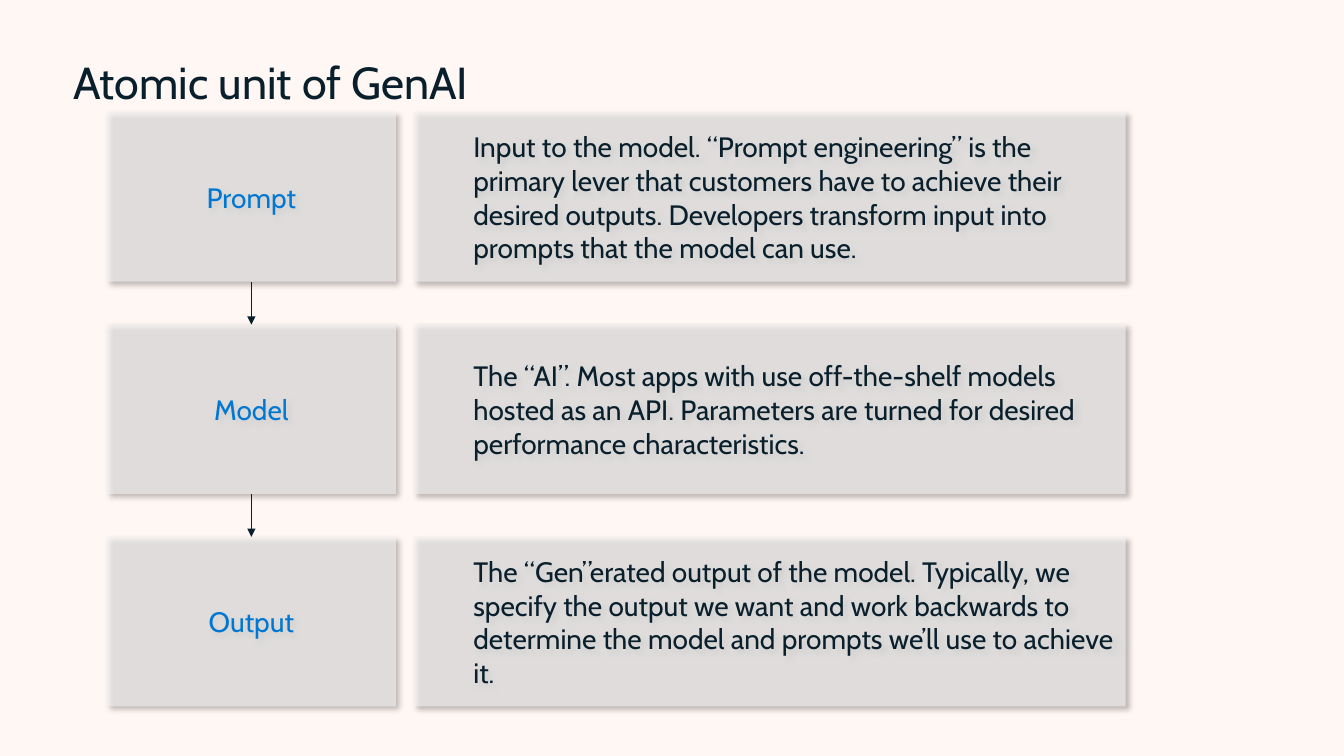
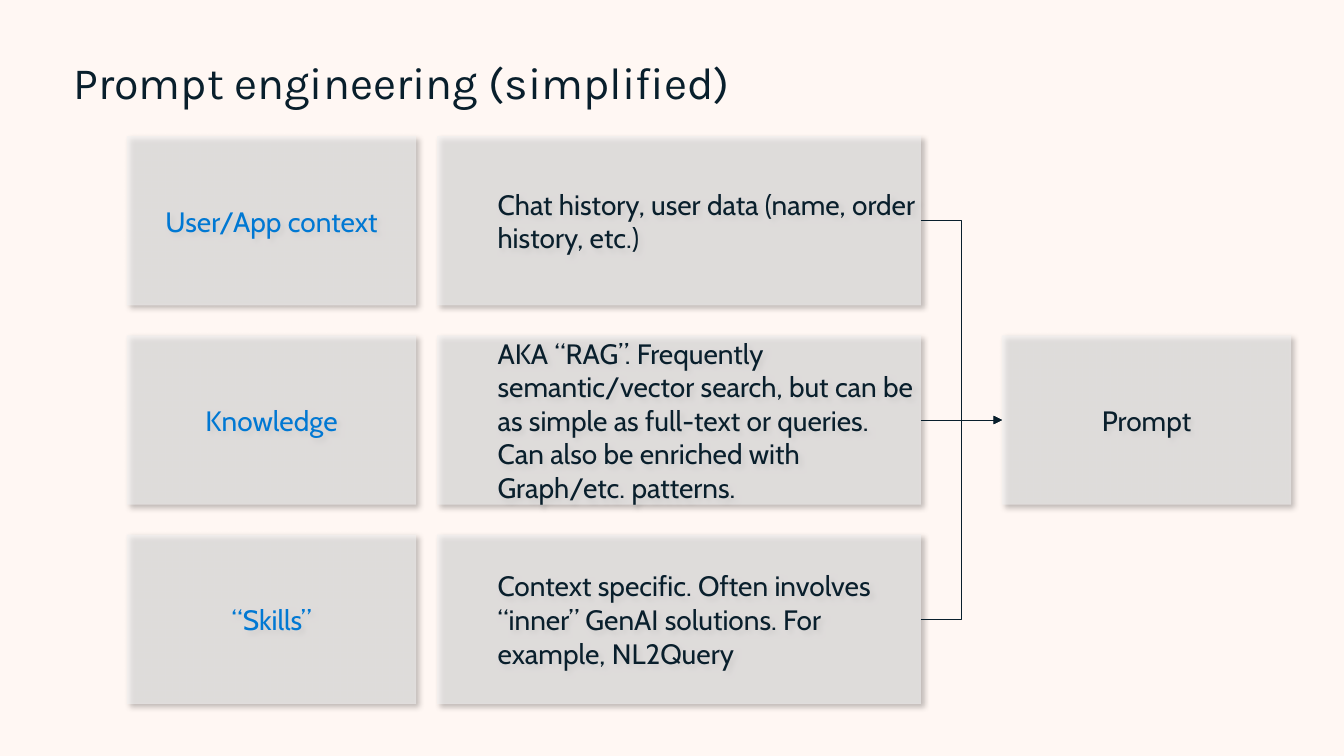
from dataclasses import dataclass

from pptx import Presentation
from pptx import util as u
from pptx.dml import color
from pptx.enum import shapes, text
from pptx.oxml import parse_xml
from pptx.oxml.ns import nsdecls, qn

Cm = u.Cm


@dataclass(frozen=True)
class Theme:
    background: str = "FFF7F3"
    ink: str = "091F2C"
    accent: str = "0078D3"
    card: str = "F2F2F2"
    font: str = "Cabin"
    title_size: int = 32
    card_size: int = 20
    line_width: float = 0.5


@dataclass(frozen=True)
class Row:
    label: str
    description: str


@dataclass(frozen=True)
class Grid:
    """Rows of a label card and a description card; lengths in cm."""
    top: float
    pitch: float
    label_left: float
    description_left: float
    description_width: float
    opacity: int


THEME = Theme()
CARD_HEIGHT = 4.27
LABEL_WIDTH = 7.29
LABEL_INSETS = (0.51, 0.41, 0.51, 0.41)
DESCRIPTION_INSETS = (1.52, 0, 0, 0)

UNIT_GRID = Grid(2.83, 5.35, 2.69, 10.41, 17.96, 63)
UNIT_ROWS = [
    Row("Prompt", "Input to the model. “Prompt engineering” is the primary lever that "
        "customers have to achieve their desired outputs. Developers transform input "
        "into prompts that the model can use."),
    Row("Model", "The “AI”. Most apps with use off-the-shelf models hosted as an API. "
        "Parameters are turned for desired performance characteristics."),
    Row("Output", "The “Gen”erated output of the model. Typically, we specify the output "
        "we want and work backwards to determine the model and prompts we’ll use to "
        "achieve it."),
]

PROMPT_GRID = Grid(3.43, 5.02, 3.2, 11.02, 12.19, 60)
PROMPT_LEFT = 25.25
PROMPT_ROWS = [
    Row("User/App context", "Chat history, user data (name, order history, etc.)"),
    Row("Knowledge", "AKA “RAG”. Frequently semantic/vector search, but can be as simple "
        "as full-text or queries. Can also be enriched with Graph/etc. patterns."),
    Row("“Skills”", "Context specific. Often involves “inner” GenAI solutions. "
        "For example, NL2Query"),
]


def rgb(value: str) -> color.RGBColor:
    return color.RGBColor.from_string(value)


def set_font(paragraph, size: float, ink: str, name: str = THEME.font) -> None:
    paragraph.font.name = name
    paragraph.font.size = u.Pt(size)
    paragraph.font.color.rgb = rgb(ink)


def prepare_master(presentation):
    """Set the shared background and title position; return the layout."""
    fill = presentation.slide_master.background.fill
    fill.solid()
    fill.fore_color.rgb = rgb(THEME.background)
    layout = presentation.slide_layouts.get_by_name("Title Only")
    title = layout.placeholders[0]
    title.left, title.top = Cm(1.6), Cm(1.4)
    title.width, title.height = Cm(30.5), Cm(2)
    return layout


def add_titled_slide(presentation, layout, title: str, font: str = THEME.font):
    slide = presentation.slides.add_slide(layout)
    frame = slide.shapes.title.text_frame
    frame.text = title
    frame.vertical_anchor = text.MSO_ANCHOR.TOP
    frame.auto_size = text.MSO_AUTO_SIZE.NONE
    paragraph = frame.paragraphs[0]
    paragraph.alignment = text.PP_ALIGN.LEFT
    paragraph.line_spacing = 0.9
    set_font(paragraph, THEME.title_size, THEME.ink, font)
    return slide


def add_card(slide, left: float, top: float, width: float, words: str, opacity: int,
             insets: tuple, alignment, ink: str):
    """Add a translucent card with a soft shadow."""
    card = slide.shapes.add_shape(shapes.MSO_SHAPE.RECTANGLE, Cm(left), Cm(top),
                                  Cm(width), Cm(CARD_HEIGHT))
    card.fill.solid()
    card.fill.fore_color.rgb = rgb(THEME.card)
    card.line.fill.background()
    card.shadow.inherit = False
    properties = card._element.spPr
    properties.find(".//" + qn("a:srgbClr")).append(
        parse_xml(f'<a:alpha {nsdecls("a")} val="{opacity * 1000}"/>'))
    properties.find(qn("a:effectLst")).append(parse_xml(
        f'<a:outerShdw {nsdecls("a")} blurRad="{u.Pt(4)}" dist="{u.Pt(3)}" '
        'dir="2700000" algn="tl" rotWithShape="0">'
        '<a:srgbClr val="000000"><a:alpha val="40000"/></a:srgbClr></a:outerShdw>'))

    frame = card.text_frame
    frame.word_wrap = True
    frame.vertical_anchor = text.MSO_ANCHOR.MIDDLE
    (frame.margin_left, frame.margin_top,
     frame.margin_right, frame.margin_bottom) = map(Cm, insets)
    frame.text = words
    paragraph = frame.paragraphs[0]
    paragraph.alignment = alignment
    set_font(paragraph, THEME.card_size, ink)
    return card


def add_label(slide, left: float, top: float, words: str, opacity: int,
              ink: str = THEME.accent):
    return add_card(slide, left, top, LABEL_WIDTH, words, opacity, LABEL_INSETS,
                    text.PP_ALIGN.CENTER, ink)


def add_rows(slide, grid: Grid, rows: list) -> tuple:
    """Draw the grid; return its label cards and description cards."""
    labels, descriptions = [], []
    for index, row in enumerate(rows):
        top = grid.top + index * grid.pitch
        descriptions.append(add_card(
            slide, grid.description_left, top, grid.description_width, row.description,
            grid.opacity, DESCRIPTION_INSETS, text.PP_ALIGN.LEFT, THEME.ink))
        labels.append(add_label(slide, grid.label_left, top, row.label, grid.opacity))
    return labels, descriptions


def add_arrow(slide, kind, start, start_site: int, end, end_site: int) -> None:
    """Join two cards; sites run top, left, bottom, right from 0."""
    arrow = slide.shapes.add_connector(kind, 0, 0, 0, 0)
    arrow.begin_connect(start, start_site)
    arrow.end_connect(end, end_site)
    arrow.line.color.rgb = rgb(THEME.ink)
    arrow.line.width = u.Pt(THEME.line_width)
    arrow.line._get_or_add_ln().append(
        parse_xml(f'<a:tailEnd {nsdecls("a")} type="triangle"/>'))
    arrow._element.spPr.append(parse_xml(f'<a:effectLst {nsdecls("a")}/>'))


def build_unit_slide(presentation, layout) -> None:
    slide = add_titled_slide(presentation, layout, "Atomic unit of GenAI")
    labels, _ = add_rows(slide, UNIT_GRID, UNIT_ROWS)
    for upper, lower in zip(labels, labels[1:]):
        add_arrow(slide, shapes.MSO_CONNECTOR.STRAIGHT, upper, 2, lower, 0)


def build_prompt_slide(presentation, layout) -> None:
    slide = add_titled_slide(presentation, layout, "Prompt engineering (simplified)",
                             "Karla")
    _, descriptions = add_rows(slide, PROMPT_GRID, PROMPT_ROWS)
    prompt = add_label(slide, PROMPT_LEFT, PROMPT_GRID.top + PROMPT_GRID.pitch,
                       "Prompt", PROMPT_GRID.opacity, THEME.ink)
    for description in descriptions:
        level = description.top == prompt.top
        kind = shapes.MSO_CONNECTOR.STRAIGHT if level else shapes.MSO_CONNECTOR.ELBOW
        add_arrow(slide, kind, description, 3, prompt, 1)


def main() -> None:
    presentation = Presentation()
    presentation.slide_width, presentation.slide_height = Cm(33.87), Cm(19.05)
    layout = prepare_master(presentation)
    build_unit_slide(presentation, layout)
    build_prompt_slide(presentation, layout)
    presentation.save("out.pptx")


if __name__ == "__main__":
    main()
